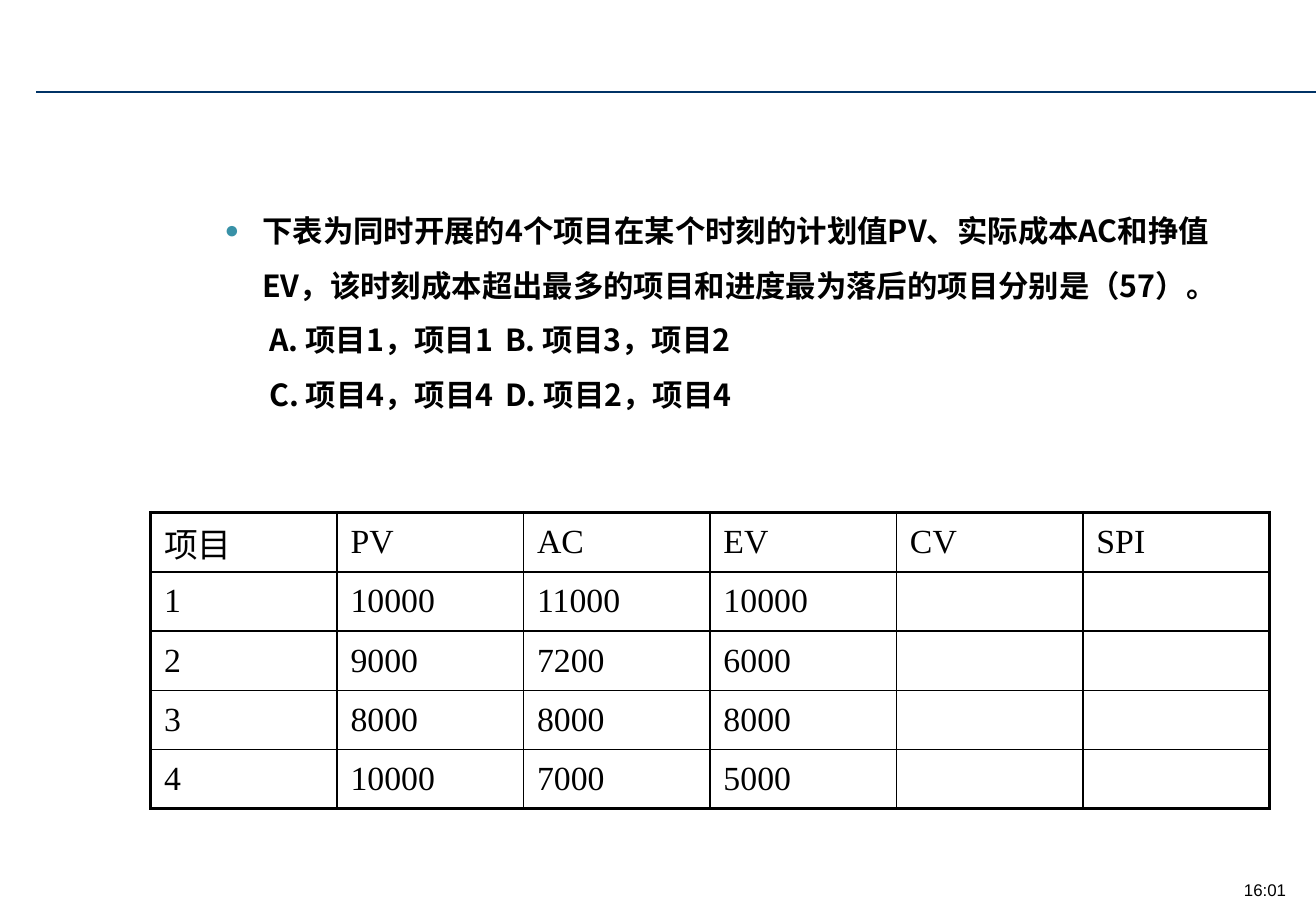
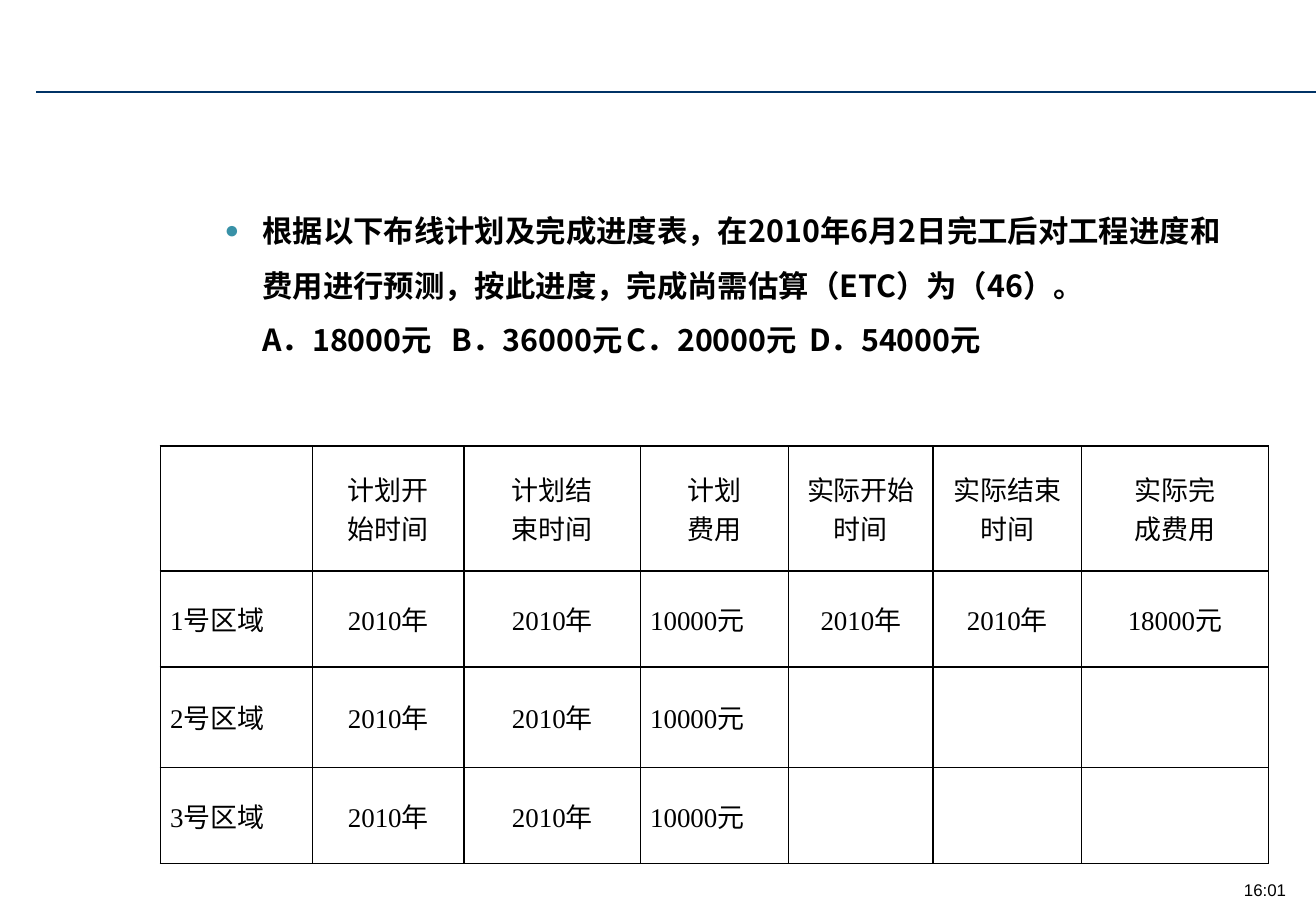
from lxml import etree
from pptx import Presentation
from pptx.dml.color import RGBColor
from pptx.enum.shapes import MSO_CONNECTOR
from pptx.enum.text import MSO_ANCHOR, PP_ALIGN
from pptx.oxml.ns import qn
from pptx.util import Inches, Pt

STRAIGHT = MSO_CONNECTOR.STRAIGHT
MIDDLE = MSO_ANCHOR.MIDDLE
LEFT, CENTER, JUSTIFY = PP_ALIGN.LEFT, PP_ALIGN.CENTER, PP_ALIGN.JUSTIFY

BLACK, WHITE, NAVY, TEAL = "000000", "FFFFFF", "003366", "3891A7"
CJK = "Noto Sans CJK SC"
WIDTH, HEIGHT = 10.83, 7.5

STAMP = dict(name="Arial", size=Pt(10), bold=False)
BODY = dict(name=CJK, size=Pt(18), bold=True)
LARGE = dict(name="Times New Roman", size=Pt(20), bold=False)
SMALL = dict(LARGE, size=Pt(16))


def color(code):
    return RGBColor.from_string(code)


def node(parent, tag, **attrs):
    return etree.SubElement(parent, qn(tag), attrs)


def write(para, text, style):
    run = para.add_run()
    run.text = text
    for key, value in style.items():
        setattr(run.font, key, value)
    run.font.color.rgb = color(BLACK)
    node(run.font._element, "a:ea", typeface=CJK)


def add_box(slide, box):
    frame = slide.shapes.add_textbox(*map(Inches, box)).text_frame
    frame.word_wrap = True
    return frame


def add_frame(slide):
    rule = slide.shapes.add_connector(
        STRAIGHT, Inches(0.3), Inches(0.76), Inches(WIDTH), Inches(0.76))
    rule.line.color.rgb = color(NAVY)
    rule.line.width = Pt(1)
    node(rule._element.spPr, "a:effectLst")
    para = add_box(slide, (10.1, 7.19, 0.62, 0.27)).paragraphs[0]
    para.alignment = CENTER
    write(para, "16:01", STAMP)


def add_bullet(props):
    fill = node(props, "a:buClr")
    node(fill, "a:srgbClr", val=TEAL)
    node(props, "a:buSzPct", val="80000")
    node(props, "a:buFont", typeface="Arial")
    node(props, "a:buChar", char="●")


def add_question(slide, box, lines):
    frame = add_box(slide, box)
    for i, text in enumerate(lines):
        para = frame.add_paragraph() if i else frame.paragraphs[0]
        para.line_spacing = Pt(32.3)
        props = para._p.get_or_add_pPr()
        props.set("marL", str(Inches(0.4)))
        props.set("indent", str(Inches(-0.31)))
        if i:
            node(props, "a:buNone")
        else:
            add_bullet(props)
        write(para, text, BODY)


def add_edge(cell, side, width):
    line = node(cell._tc.get_or_add_tcPr(), "a:" + side, w=str(Pt(width)))
    fill = node(line, "a:solidFill")
    node(fill, "a:srgbClr", val=BLACK)


def fill_cell(cell, text, style, align, inset):
    side, end = map(Inches, inset)
    format = dict(margin_left=side, margin_right=side, margin_top=end,
                  margin_bottom=end, vertical_anchor=MIDDLE)
    for key, value in format.items():
        setattr(cell, key, value)
    for i, part in enumerate(text.split("\n") if text else []):
        frame = cell.text_frame
        para = frame.add_paragraph() if i else frame.paragraphs[0]
        para.alignment = align
        write(para, part, style)


def add_grid(slide, at, cols, rows, data, style, aligns, inset, rim):
    size = sum(cols), sum(rows)
    table = slide.shapes.add_table(
        len(rows), len(cols), *map(Inches, at + size)).table
    table.first_row = table.horz_banding = False
    for col, width in zip(table.columns, cols):
        col.width = Inches(width)
    for row, height in zip(table.rows, rows):
        row.height = Inches(height)
    last_row, last_col = len(rows) - 1, len(cols) - 1
    for r, line in enumerate(data):
        for c, text in enumerate(line):
            cell = table.cell(r, c)
            align = aligns[c] if r else aligns[1]
            fill_cell(cell, text, style, align, inset)
            edges = dict(lnL=c == 0, lnR=c == last_col,
                         lnT=r == 0, lnB=r == last_row)
            for side, outer in edges.items():
                add_edge(cell, side, rim if outer else 1)
            cell.fill.solid()
            cell.fill.fore_color.rgb = color(WHITE)


def add_values(slide):
    add_question(slide, (1.66, 1.55, 8.61, 2.3), [
        "下表为同时开展的4个项目在某个时刻的计划值PV、实际成本AC和挣值EV，"
        "该时刻成本超出最多的项目和进度最为落后的项目分别是（57）。",
        "\t A. 项目1，项目1\tB. 项目3，项目2",
        "\t C. 项目4，项目4\tD. 项目2，项目4",
    ])
    data = [
        ["项目", "PV", "AC", "EV", "CV", "SPI"],
        ["1", "10000", "11000", "10000", "", ""],
        ["2", "9000", "7200", "6000", "", ""],
        ["3", "8000", "8000", "8000", "", ""],
        ["4", "10000", "7000", "5000", "", ""],
    ]
    add_grid(slide, (1.24, 4.22), [9.21 / 6] * 6, [2.44 / 5] * 5, data,
             LARGE, [LEFT] * 6, (0.11, 0.05), 2.25)


def add_wiring(slide):
    add_question(slide, (1.66, 1.55, 8.61, 1.46), [
        "根据以下布线计划及完成进度表，在2010年6月2日完工后对工程进度"
        "和费用进行预测，按此进度，完成尚需估算（ETC）为（46）。",
        "\tA．18000元\t B．36000元\tC．20000元\tD．54000元",
    ])
    head = ["", "计划开\n始时间", "计划结\n束时间", "计划\n费用",
            "实际开始时间", "实际结束时间", "实际完\n成费用"]
    year = "2010年"
    done = [[year, year, "18000元"], [""] * 3, [""] * 3]
    data = [head] + [[f"{i}号区域", year, year, "10000元"] + rest
                     for i, rest in enumerate(done, 1)]
    aligns = [JUSTIFY, CENTER, CENTER, JUSTIFY, CENTER, CENTER, CENTER]
    add_grid(slide, (1.32, 3.67), [1.25, 1.25, 1.45, 1.22, 1.19, 1.22, 1.54],
             [1.03, 0.79, 0.83, 0.79], data, SMALL, aligns, (0.08, 0), 1)


def main():
    deck = Presentation()
    deck.slide_width, deck.slide_height = Inches(WIDTH), Inches(HEIGHT)
    for build in (add_values, add_wiring):
        slide = deck.slides.add_slide(deck.slide_layouts[6])
        add_frame(slide)
        build(slide)
    deck.save("out.pptx")


if __name__ == "__main__":
    main()
